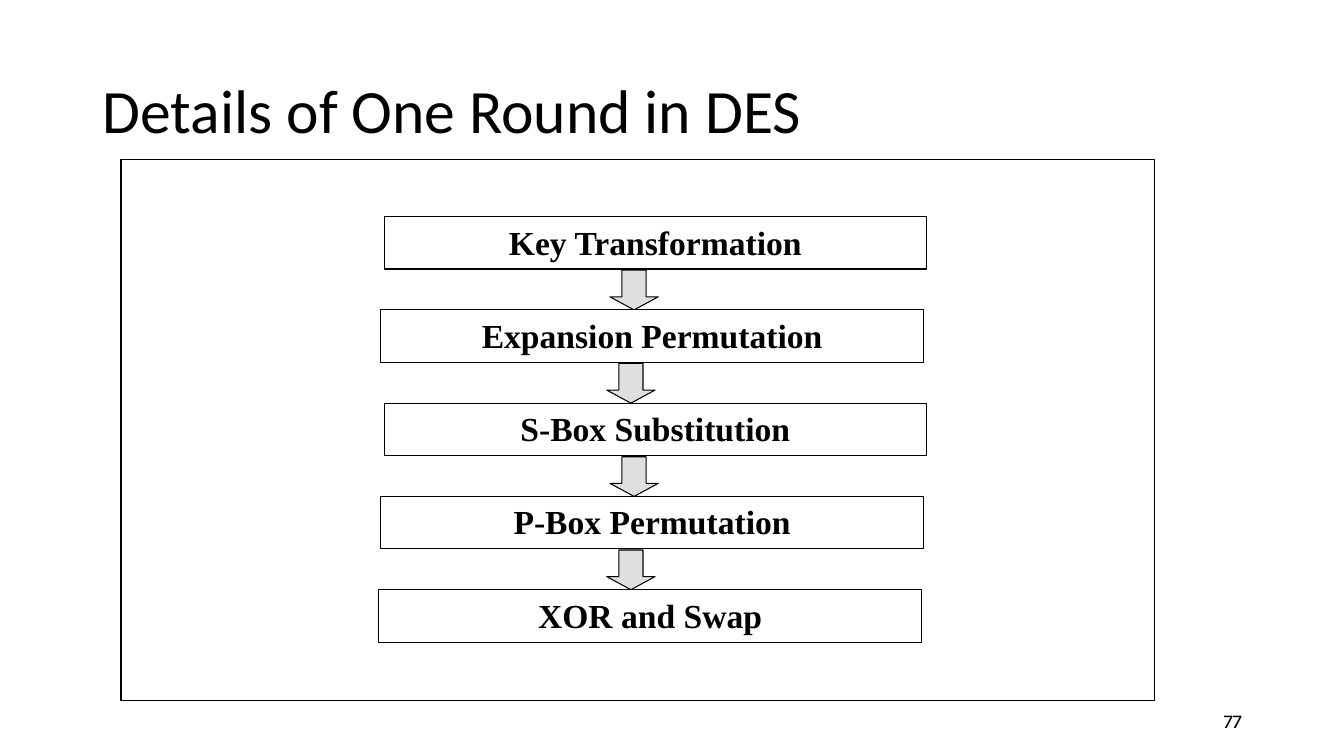
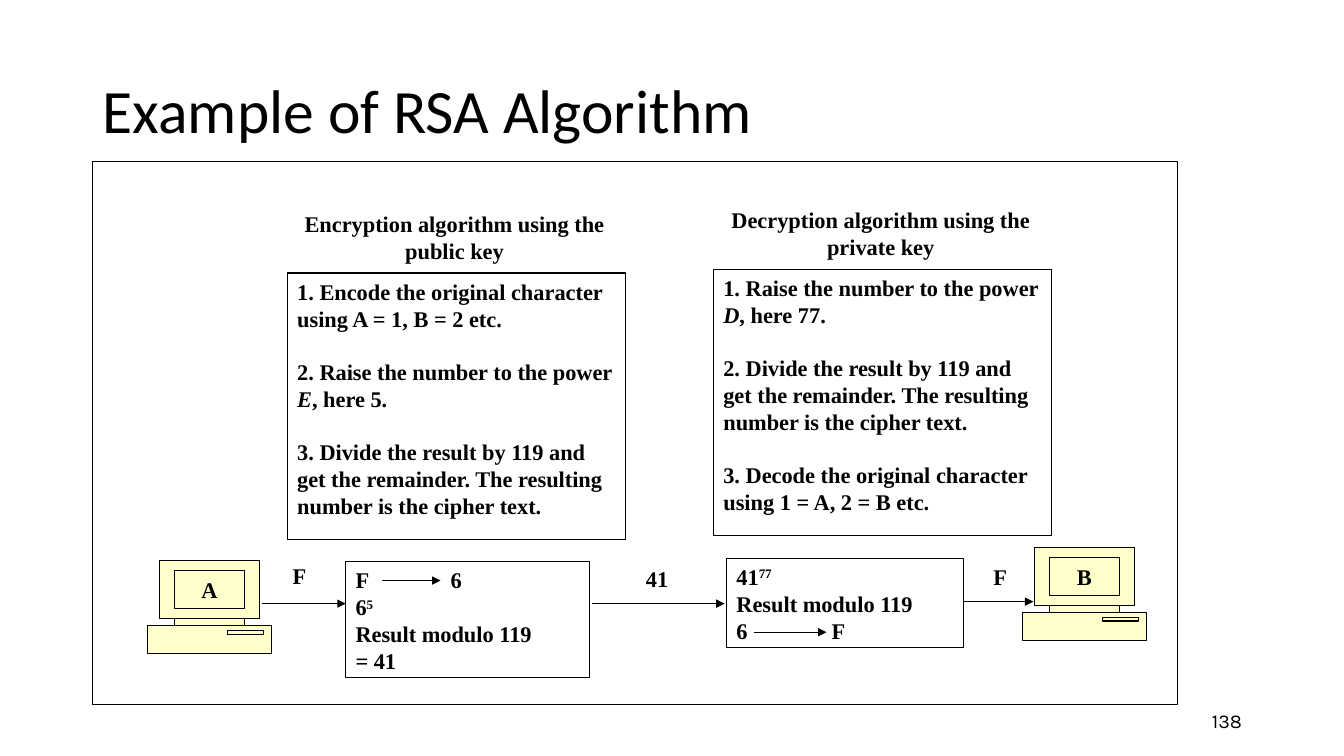
"""Build two slides on the DES round and the RSA algorithm."""
import pptx
import pptx.dml.color
import pptx.enum.shapes
import pptx.enum.text
import pptx.oxml.ns
import pptx.util
from lxml import etree

Cm, Pt = pptx.util.Cm, pptx.util.Pt
RGB = pptx.dml.color.RGBColor
KIND = pptx.enum.shapes.MSO_SHAPE
ALIGN = pptx.enum.text.PP_ALIGN
ANCHOR = pptx.enum.text.MSO_ANCHOR
qn = pptx.oxml.ns.qn
BLACK = RGB(0x00, 0x00, 0x00)
WHITE = RGB(0xFF, 0xFF, 0xFF)
CREAM = RGB(0xFF, 0xFF, 0xCC)
GREY = RGB(0xC0, 0xC0, 0xC0)
SERIF = "Times New Roman"


def box(slide, at, lines=(), size=16, font=SERIF, bold=True, align=ALIGN.LEFT,
        anchor=ANCHOR.TOP, fill=WHITE, edge=True, gap=0, kind=KIND.RECTANGLE):
    """Add a shape; in its lines |*x| is italic and |^x| is superscript."""
    shape = slide.shapes.add_shape(kind, *map(Cm, at))
    shape.shadow.inherit = False
    if fill is None:
        shape.fill.background()
    else:
        shape.fill.solid()
        shape.fill.fore_color.rgb = fill
    if edge:
        shape.line.color.rgb = BLACK
        shape.line.width = Pt(0.75)
    else:
        shape.line.fill.background()
    frame = shape.text_frame
    frame.word_wrap = True
    frame.vertical_anchor = anchor
    for i, line in enumerate(lines):
        para = frame.add_paragraph() if i else frame.paragraphs[0]
        para.alignment = align
        if i and gap:
            para.space_before = Pt(gap)
        if "\t" in line:
            tabs = etree.SubElement(para._p.get_or_add_pPr(), qn("a:tabLst"))
            etree.SubElement(tabs, qn("a:tab"), pos=str(Cm(2.4)), algn="l")
        para.font.name = font
        para.font.size = Pt(size)
        para.font.bold = bold
        para.font.color.rgb = BLACK
        for part in line.split("|"):
            run = para.add_run()
            run.text = part.lstrip("*^")
            if part.startswith("*"):
                run.font.italic = True
            elif part.startswith("^"):
                run._r.get_or_add_rPr().set("baseline", "30000")
    return shape


deck = pptx.Presentation()
deck.slide_width, deck.slide_height = Cm(33.87), Cm(19.05)

pages = []
for title, number, area in (
    ("Details of One Round in DES", "77", (3.05, 4.01, 26.04, 13.64)),
    ("Example of RSA Algorithm", "138", (2.34, 4.06, 27.33, 13.69)),
):
    page = deck.slides.add_slide(deck.slide_layouts[6])
    box(page, (23.93, 17.65, 7.62, 1.02), [number], 14, "Karla", False,
        ALIGN.RIGHT, ANCHOR.MIDDLE, None, False)
    head = box(page, (2.34, 1.02, 29.21, 3.68), [title], 44, "Calibri", False,
               ALIGN.LEFT, ANCHOR.MIDDLE, None, False)
    head.text_frame.paragraphs[0].line_spacing = 0.9
    box(page, area)
    pages.append(page)
des, rsa = pages

steps = (
    (9.68, "Key Transformation"),
    (9.6, "Expansion Permutation"),
    (9.68, "S-Box Substitution"),
    (9.6, "P-Box Permutation"),
    (9.55, "XOR and Swap"),
)
for i, (left, step) in enumerate(steps):
    top = 5.46 + 2.35 * i
    box(des, (left, top, 13.67, 1.32), [step], 24, align=ALIGN.CENTER)
    if i < len(steps) - 1:
        arrow = box(des, (left + 5.69, top + 1.35, 1.22, 1), fill=GREY,
                    kind=KIND.DOWN_ARROW)
        arrow.adjustments[0], arrow.adjustments[1] = 0.5, 0.33
        shade = arrow._element.spPr.find(qn("a:solidFill"))[0]
        etree.SubElement(shade, qn("a:alpha"), val="50000")

divide = ("Divide the result by 119 and get the remainder. "
          "The resulting number is the cipher text.")
for left, top, head, rules in (
    (7.24, 6.88, "Encryption algorithm using the public key", [
        "1. Encode the original character using A = 1, B = 2 etc.",
        "2. Raise the number to the power |*E|, here 5.",
        "3. " + divide]),
    (17.98, 6.78, "Decryption algorithm using the private key", [
        "1. Raise the number to the power |*D|, here 77.",
        "2. " + divide,
        "3. Decode the original character using 1 = A, 2 = B etc."]),
):
    box(rsa, (left, top, 8.53, 6.71), rules, gap=19)
    box(rsa, (left - 0.13, top - 1.7, 8.69, 1.57), [head], align=ALIGN.CENTER,
        edge=False)

for left, top, name in ((3.73, 14.12, "A"), (25.78, 13.79, "B")):
    for x, y, wide, high, text in (
        (0.28, 0, 2.54, 1.47, []),
        (0.66, 1.47, 1.78, 0.18, []),
        (0, 1.65, 3.12, 0.69, []),
        (0.66, 0.25, 1.78, 0.97, [name]),
        (2.01, 1.78, 0.9, 0.08, []),
    ):
        box(rsa, (left + x, top + y, wide, high), text, align=ALIGN.CENTER,
            anchor=ANCHOR.MIDDLE, fill=CREAM)

box(rsa, (8.71, 14.15, 6.15, 2.92),
    ["F\t6", "6|^5", "Result modulo 119", "= 41"])
box(rsa, (18.31, 14.07, 5.97, 2.26),
    ["41|^77", "Result modulo 119", "6\tF"])

for left, top, wide, text in (
    (6.93, 14.05, 1.24, "F"), (15.8, 14.12, 1.52, "41"), (24.61, 14.07, 1.19, "F"),
):
    box(rsa, (left, top, wide, 0.91), [text], align=ALIGN.CENTER, edge=False)

for start, end, y in (
    (6.6, 8.71, 15.21), (9.63, 11.1, 14.63), (14.91, 18.26, 15.21),
    (19, 20.83, 15.93), (24.28, 26.04, 15.16),
):
    link = rsa.shapes.add_connector(
        pptx.enum.shapes.MSO_CONNECTOR.STRAIGHT, Cm(start), Cm(y), Cm(end), Cm(y))
    link.line.color.rgb = BLACK
    link.line.width = Pt(0.75)
    etree.SubElement(link.line._get_or_add_ln(), qn("a:tailEnd"), type="triangle")
    etree.SubElement(link._element.spPr, qn("a:effectLst"))

deck.save("out.pptx")
